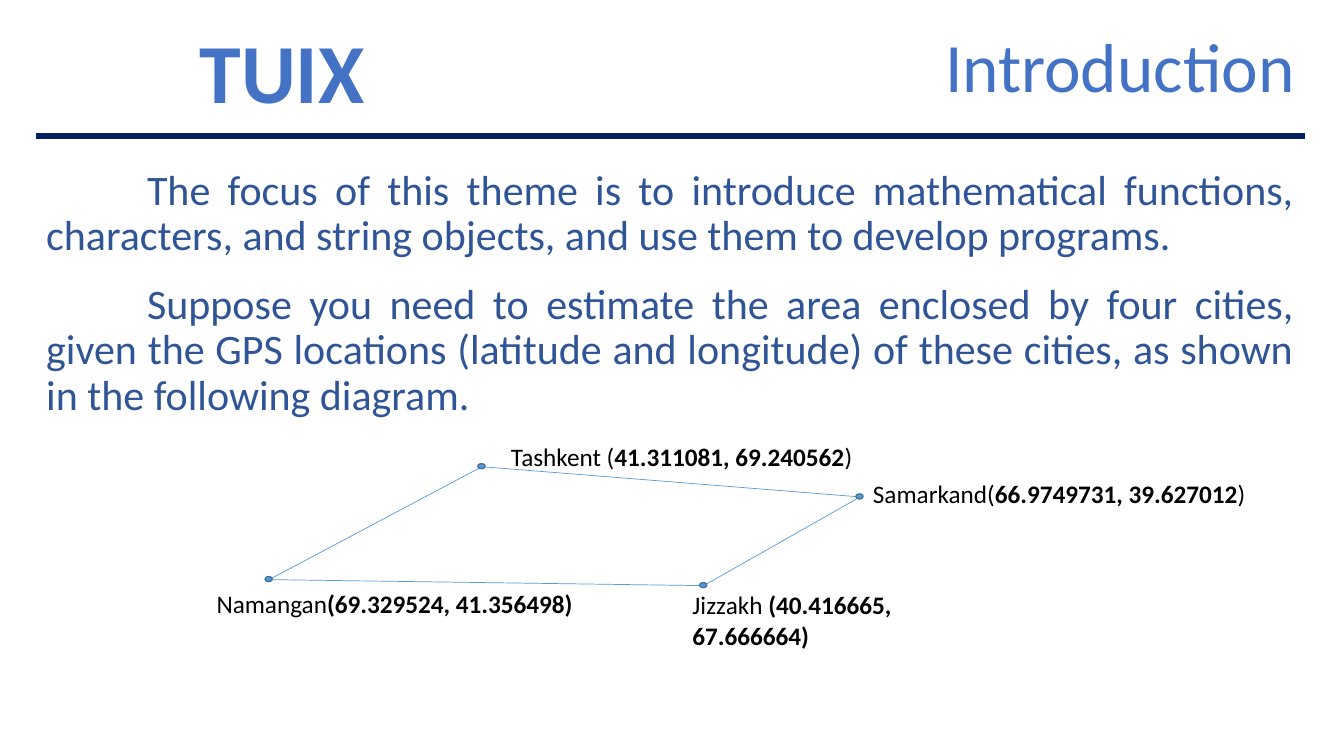
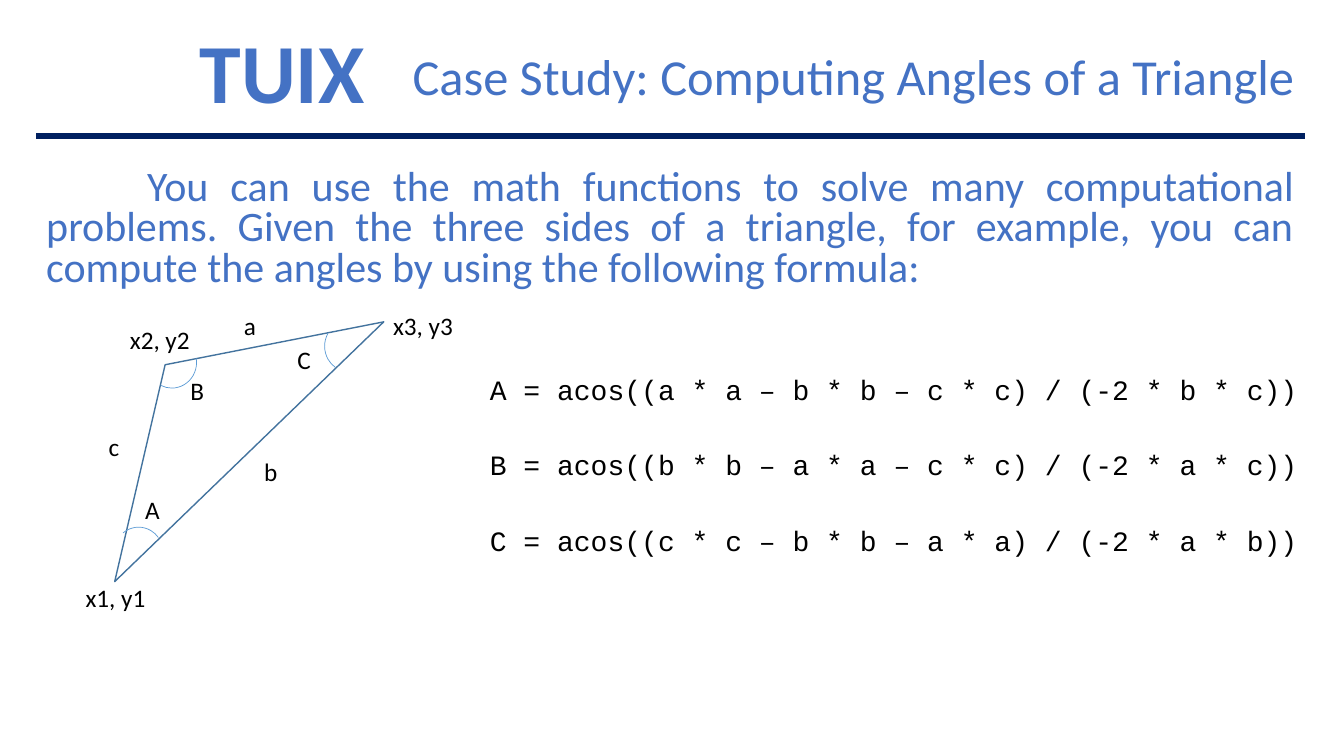
import pptx
import pptx.dml.color
import pptx.enum.shapes
import pptx.enum.text
import pptx.util
from pptx.oxml import parse_xml
from pptx.oxml.ns import nsdecls

SHAPE = pptx.enum.shapes.MSO_SHAPE
ALIGN = pptx.enum.text.PP_ALIGN
ANCHOR = pptx.enum.text.MSO_ANCHOR
Pt = pptx.util.Pt

BLUE, NAVY, DEEP, BLACK = "4472C4", "002060", "2F5597", "000000"
FILL, EDGE, THIN = "5B9BD5", "43739E", "5B9BD5"
FONT, CODE = "Calibri", "Courier New"


def px(n):
    """Turn px (100 to the inch) into EMU."""
    return pptx.util.Emu(n * 9144)


def rgb(code):
    return pptx.dml.color.RGBColor.from_string(code)


class Deck:
    """Holds the shared style and the slide being filled."""

    def __init__(self):
        self.prs = pptx.Presentation()
        self.prs.slide_width, self.prs.slide_height = px(1333), px(750)
        self.slide = None

    def page(self, title, left, size):
        """Start a slide with its title, school mark and rule."""
        self.slide = self.prs.slides.add_slide(self.prs.slide_layouts[5])
        head = self.slide.shapes.title
        head.left, head.top = px(left), px(33)
        head.width, head.height = px(1294 - left), px(75)
        frame = head.text_frame
        frame.text = title
        frame.auto_size = pptx.enum.text.MSO_AUTO_SIZE.NONE
        frame.vertical_anchor = ANCHOR.BOTTOM
        self.style(frame.paragraphs[0], size, BLUE, ALIGN.RIGHT, 0.7)
        self.text("TUIX", (188, 30, 193, 81), 60, BLUE, space=0.85, bold=True)
        self.line((36, 135), (1294, 135), NAVY, 4.5)

    def style(self, para, size, color, align=ALIGN.LEFT, space=1.0,
              font=FONT, bold=False):
        para.alignment, para.line_spacing = align, space
        for run in para.runs:
            run.font.name, run.font.size = font, Pt(size)
            run.font.bold, run.font.color.rgb = bold, rgb(color)

    def text(self, words, box, size=18, color=BLACK, gap=0, **look):
        """Add a text box; each line of words is a paragraph."""
        frame = self.slide.shapes.add_textbox(*map(px, box)).text_frame
        frame.word_wrap = True
        frame.text = words
        for i, para in enumerate(frame.paragraphs):
            para.space_before = Pt(gap if i else 0)
            self.style(para, size, color, **look)
        return frame

    def body(self, words, top, height, color, space):
        """Add a justified paragraph with an indented first line."""
        frame = self.text(words, (36, top, 1258, height), 30, color,
                          align=ALIGN.JUSTIFY, space=space)
        frame.paragraphs[0]._p.get_or_add_pPr().set("indent", str(px(100)))

    def label(self, parts, left, top, width):
        """Add one line whose parts are (words, bold) pairs."""
        para = self.text("", (left, top, width, 40)).paragraphs[0]
        for words, bold in parts:
            run = para.add_run()
            run.text = words
            run.font.name, run.font.size = FONT, Pt(18)
            run.font.bold, run.font.color.rgb = bold, rgb(BLACK)

    def line(self, start, end, color, width):
        link = self.slide.shapes.add_connector(
            pptx.enum.shapes.MSO_CONNECTOR.STRAIGHT,
            *map(px, (*start, *end)))
        link.line.color.rgb, link.line.width = rgb(color), Pt(width)
        link._element.spPr.append(
            parse_xml("<a:effectLst %s/>" % nsdecls("a")))

    def shape(self, kind, box, edge, width, fill=None, turn=0):
        item = self.slide.shapes.add_shape(kind, *map(px, box))
        item.shadow.inherit = False
        item.rotation = turn
        item.line.color.rgb, item.line.width = rgb(edge), Pt(width)
        if fill:
            item.fill.solid()
            item.fill.fore_color.rgb = rgb(fill)
        else:
            item.fill.background()
        return item

    def arc(self, left, top, start, end):
        """Add an angle mark, clockwise from start to end in degrees."""
        mark = self.shape(SHAPE.ARC, (left, top, 49, 51), THIN, 0.5)
        # Arc angles are in 60000ths of a degree; adjustments in 100000ths.
        for i, angle in enumerate((start, end)):
            mark.adjustments[i] = angle * 0.6


def intro(deck):
    deck.page("Introduction", 780, 49.5)
    deck.body("The focus of this theme is to introduce mathematical "
              "functions, characters, and string objects, and use them to "
              "develop programs.", 163, 113, DEEP, 0.9)
    deck.body("Suppose you need to estimate the area enclosed by four "
              "cities, given the GPS locations (latitude and longitude) of "
              "these cities, as shown in the following diagram.",
              276, 157, DEEP, 0.9)

    # Corner, label place and label parts, in order round the area.
    cities = [
        ((478, 463), (497, 433, 400),
         [("Tashkent (", False), ("41.311081, 69.240562", True),
          (")", False)]),
        ((853, 493), (856, 470, 420),
         [("Samarkand(", False), ("66.9749731, 39.627012", True),
          (")", False)]),
        ((698, 581), (677, 580, 240),
         [("Jizzakh ", False), ("(40.416665, 67.666664)", True)]),
        ((267, 575), (205, 579, 400),
         [("Namangan", False), ("(69.329524, 41.356498)", True)]),
    ]
    spots = [city[0] for city in cities]
    for start, end in zip(spots, spots[1:] + spots[:1]):
        deck.line(start, end, THIN, 0.5)
    for (x, y), place, parts in cities:
        deck.shape(SHAPE.OVAL, (x - 4, y - 3, 7, 5), EDGE, 1, FILL)
        deck.label(parts, *place)


def angles(deck):
    deck.page("Case Study: Computing Angles of a Triangle", 381, 36)
    deck.body("You can use the math functions to solve many computational "
              "problems. Given the three sides of a triangle, for example, "
              "you can compute the angles by using the following formula:",
              163, 141, BLUE, 0.8)

    deck.shape(SHAPE.ISOSCELES_TRIANGLE, (20, 345, 371, 120), EDGE, 1,
               turn=316)
    for mark in ((113, 523, 232, 322), (322, 318, 124, 211),
                 (146, 334, 351, 115)):
        deck.arc(*mark)
    for name, left, top in (("x2, y2", 119, 317), ("x3, y3", 380, 303),
                            ("x1, y1", 75, 573)):
        deck.text(name, (left, top, 87, 40))
    for name, left, top in (("B", 179, 367), ("A", 134, 485),
                            ("C", 285, 337), ("a", 232, 303),
                            ("c", 98, 423), ("b", 252, 448)):
        deck.text(name, (left, top, 39, 40))

    sides = (("A", "a", "b", "c"), ("B", "b", "a", "c"), ("C", "c", "b", "a"))
    rules = []
    for angle, far, one, two in sides:
        low, high = sorted((one, two))
        rules.append(f"{angle} = acos(({far} * {far} – {one} * {one} – "
                     f"{two} * {two}) / (-2 * {low} * {high}))")
    deck.text("\n".join(rules), (476, 368, 826, 230), 20, gap=32.5,
              align=ALIGN.JUSTIFY, space=0.9, font=CODE)


def main():
    deck = Deck()
    intro(deck)
    angles(deck)
    deck.prs.save("out.pptx")


if __name__ == "__main__":
    main()
